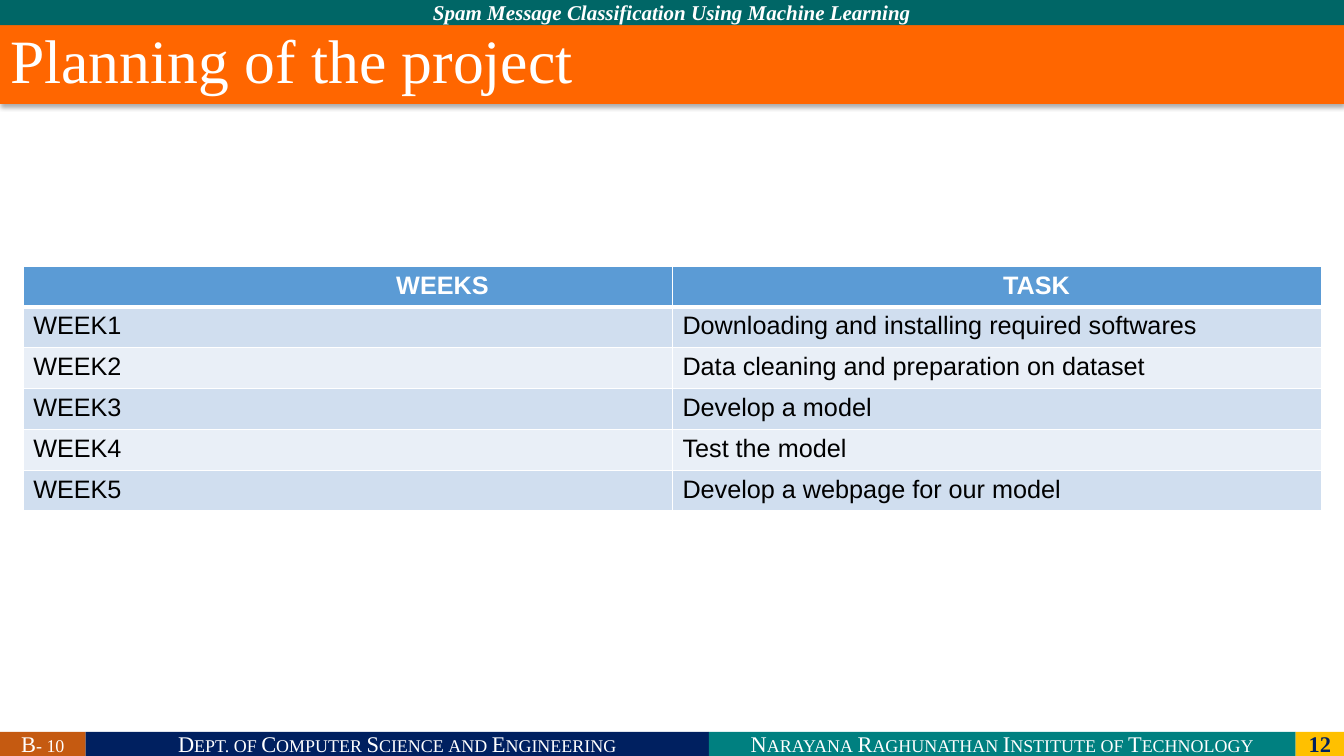
from lxml import etree
from pptx import Presentation
from pptx.dml.color import RGBColor
from pptx.enum import shapes, text
from pptx.oxml import parse_xml
from pptx.oxml.ns import nsdecls
from pptx.util import Inches, Pt

COLORS = {
    "white": "FFFFFF", "black": "000000", "navy": "002060", "teal": "008080",
    "gold": "FFC000", "pine": "006666", "rust": "C55A11", "orange": "FF6600",
    "header": "5B9BD5", "band_dark": "D0DEEF", "band_light": "E9EFF7",
}
SERIF, SANS = "Times New Roman", "Arial"
SLIDE_W, SLIDE_H = 13.33, 7.5
TOP_H, TITLE_H, FOOTER_H = 0.25, 0.78, 0.24

TITLE = "Planning of the project"
TOPIC = "Spam Message Classification Using Machine Learning"
FOOTER = [
    ("B- 10", 0.85, "rust", "white", True),
    ("Dept. of Computer Science and Engineering", 6.18, "navy", "white", True),
    ("Narayana Raghunathan Institute of Technology", 5.82, "teal", "white", True),
    ("12", 0.48, "gold", "navy", False),
]
PLAN = [
    ("WEEKS", "TASK"),
    ("WEEK1", "Downloading and installing required softwares"),
    ("WEEK2", "Data cleaning and preparation on dataset"),
    ("WEEK3", "Develop a model"),
    ("WEEK4", "Test the model"),
    ("WEEK5", "Develop a webpage for our model"),
]
TABLE_LEFT, TABLE_TOP, ROW_H = 0.23, 2.64, 0.405
COL_WIDTHS = (6.44, 6.44)
HEADER_INDENTS = (3.7, 3.28)


def rgb(name):
    return RGBColor.from_string(COLORS[name])


def paint(obj, color):
    obj.fill.solid()
    obj.fill.fore_color.rgb = rgb(color)


def write(tf, words, color, small_caps=False, **font):
    p = tf.paragraphs[0]
    r = p.add_run()
    r.text = words
    r.font.color.rgb = rgb(color)
    for key, value in font.items():
        setattr(r.font, key, value)
    if small_caps:
        r.font._element.set("cap", "small")
    return p


def add_bar(s, box, fill, words, color, **font):
    sp = s.shapes.add_shape(shapes.MSO_SHAPE.RECTANGLE, *map(Inches, box))
    sp.shadow.inherit = False
    paint(sp, fill)
    sp.line.fill.background()
    sp.text_frame.vertical_anchor = text.MSO_ANCHOR.MIDDLE
    p = write(sp.text_frame, words, color, name=SERIF, **font)
    p.alignment = text.PP_ALIGN.CENTER


def add_title(s):
    sp = s.shapes.title
    box = {"left": 0, "top": TOP_H, "width": SLIDE_W, "height": TITLE_H}
    for key, value in box.items():
        setattr(sp, key, Inches(value))
    paint(sp, "orange")
    tf = sp.text_frame
    tf.auto_size = text.MSO_AUTO_SIZE.NONE
    tf.vertical_anchor = text.MSO_ANCHOR.TOP
    p = write(tf, TITLE, "white", name=SERIF, size=Pt(44))
    p.alignment = text.PP_ALIGN.LEFT
    p.line_spacing = 0.9
    sp._element.spPr.append(parse_xml(
        f'<a:effectLst {nsdecls("a")}><a:outerShdw blurRad="{Pt(3.5)}" '
        f'dist="{Pt(2.2)}" dir="5400000" algn="t" rotWithShape="0">'
        f'<a:srgbClr val="{COLORS["black"]}"><a:alpha val="32000"/></a:srgbClr>'
        '</a:outerShdw></a:effectLst>'))


def add_borders(cell, top, bottom):
    tcPr = cell._tc.get_or_add_tcPr()
    for side, width in {"L": 1, "R": 1, "T": top, "B": bottom}.items():
        tcPr.append(parse_xml(
            f'<a:ln{side} {nsdecls("a")} w="{Pt(width)}"><a:solidFill>'
            f'<a:srgbClr val="{COLORS["white"]}"/></a:solidFill></a:ln{side}>'))


def add_plan(s):
    table = s.shapes.add_table(
        len(PLAN), len(COL_WIDTHS), Inches(TABLE_LEFT), Inches(TABLE_TOP),
        Inches(sum(COL_WIDTHS)), Inches(ROW_H * len(PLAN))).table
    for col, width in zip(table.columns, COL_WIDTHS):
        col.width = Inches(width)
    for i, row in enumerate(PLAN):
        head = i == 0
        fill = "header" if head else ("band_light", "band_dark")[i % 2]
        for j, words in enumerate(row):
            cell = table.cell(i, j)
            add_borders(cell, 3 if i == 1 else 1, 3 if head else 1)
            paint(cell, fill)
            if head:
                cell.margin_left = Inches(HEADER_INDENTS[j])
            write(cell.text_frame, words, "white" if head else "black",
                  name=SANS, size=Pt(18), bold=head)


def main():
    prs = Presentation()
    prs.slide_width, prs.slide_height = Inches(SLIDE_W), Inches(SLIDE_H)
    s = prs.slides.add_slide(prs.slide_layouts[5])
    add_bar(s, (0, 0, SLIDE_W, TOP_H), "pine", TOPIC, "white",
            size=Pt(15), bold=True, italic=True)
    left = 0
    for words, width, fill, color, small_caps in FOOTER:
        add_bar(s, (left, SLIDE_H - FOOTER_H, width, FOOTER_H), fill, words, color,
                small_caps=small_caps, size=Pt(16), bold=not small_caps)
        left += width
    add_title(s)
    add_plan(s)
    prs.save("out.pptx")


if __name__ == "__main__":
    main()
